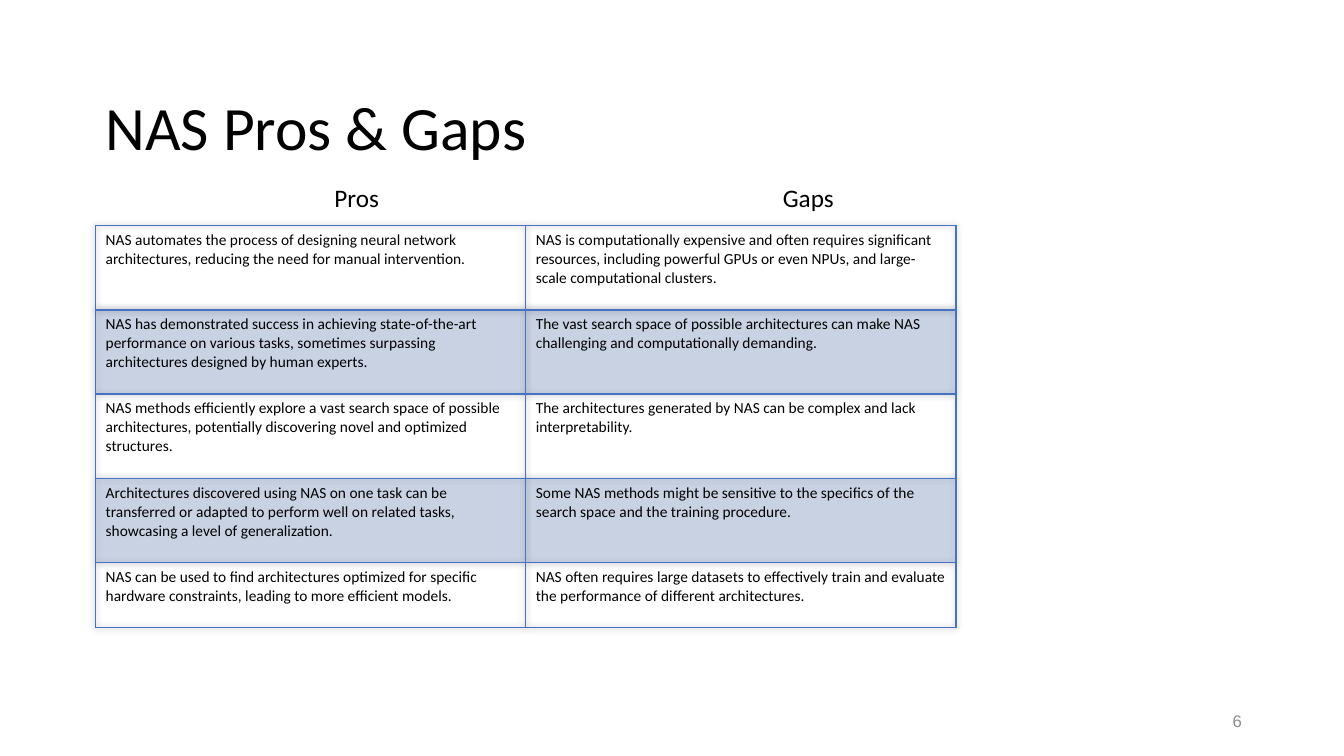
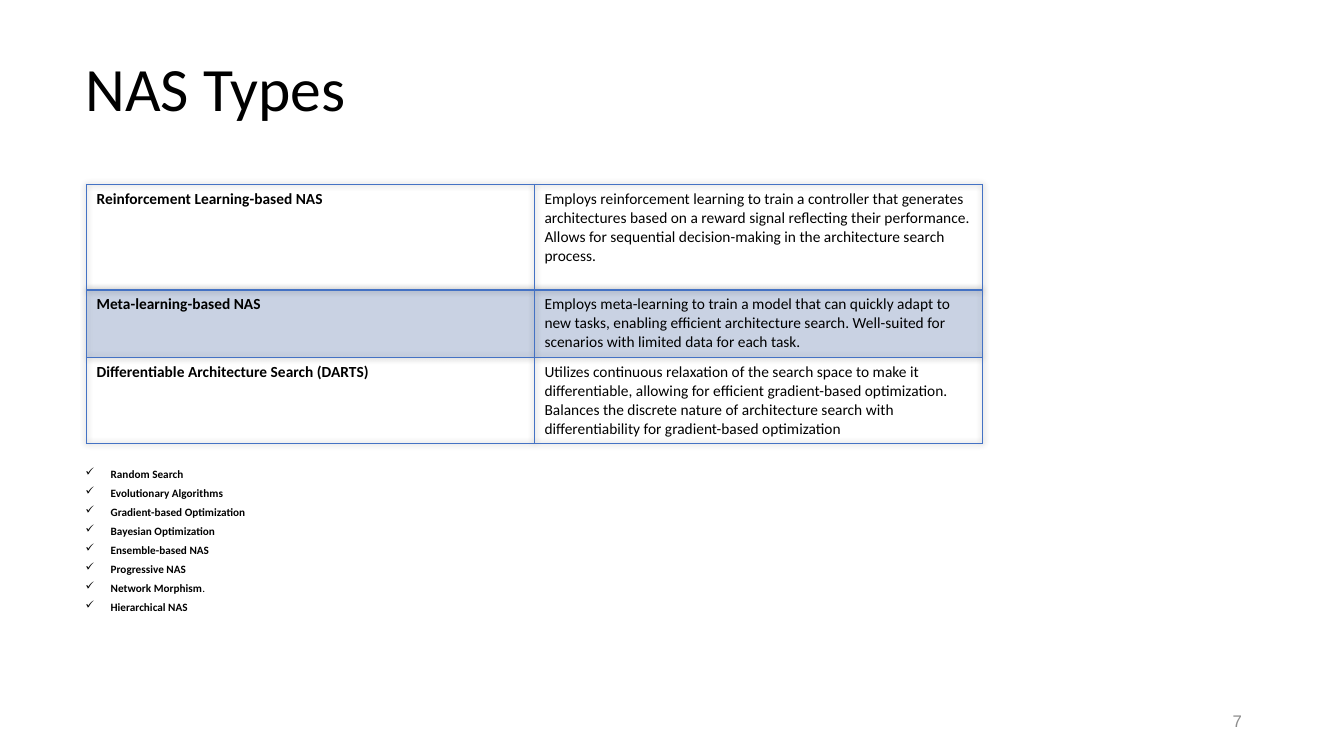
from lxml import etree
from pptx import Presentation
from pptx.dml.color import RGBColor
from pptx.enum.text import MSO_ANCHOR, PP_ALIGN
from pptx.oxml import parse_xml
from pptx.oxml.ns import qn
from pptx.util import Cm, Pt

BLACK = RGBColor(0x00, 0x00, 0x00)
GRAY = RGBColor(0x8C, 0x8C, 0x8C)
BLUE = RGBColor(0x44, 0x72, 0xC4)
NS = "http://schemas.openxmlformats.org/drawingml/2006/main"
SHADOW = (f'<a:effectLst xmlns:a="{NS}"><a:outerShdw blurRad="63500" algn="ctr" rotWithShape="0">'
          '<a:prstClr val="black"><a:alpha val="40000"/></a:prstClr></a:outerShdw></a:effectLst>')


def add_text(s, text, left, top, width, height, size, color=BLACK, font="Calibri",
             anchor=MSO_ANCHOR.TOP, align=PP_ALIGN.LEFT, bold=False, spacing=None):
    sp = s.shapes.add_textbox(Cm(left), Cm(top), Cm(width), Cm(height))
    tf = sp.text_frame
    tf.word_wrap = True
    tf.vertical_anchor = anchor
    tf.text = text
    for p in tf.paragraphs:
        p.alignment = align
        p.line_spacing = spacing
        for r in p.runs:
            r.font.name = font
            r.font.size = Pt(size)
            r.font.bold = bold
            r.font.color.rgb = color
    return tf


def add_grid(s, rows, left, top, col_width, heights, bold_first=False):
    frame = s.shapes.add_table(len(rows), 2, Cm(left), Cm(top), Cm(2 * col_width), Cm(sum(heights)))
    table = frame.table
    table.first_row = table.horz_banding = False
    table._tbl.tblPr.insert(0, parse_xml(SHADOW))
    for col in table.columns:
        col.width = Cm(col_width)
    for i, (texts, height) in enumerate(zip(rows, heights)):
        table.rows[i].height = Cm(height)
        for j, text in enumerate(texts):
            cell = table.cell(i, j)
            cell.text = text
            font = cell.text_frame.paragraphs[0].runs[0].font
            font.name = "Calibri"
            font.size = Pt(11)
            font.bold = bold_first and j == 0
            font.color.rgb = BLACK
            tcPr = cell._tc.get_or_add_tcPr()
            if i % 2:
                cell.fill.solid()
                cell.fill.fore_color.rgb = BLUE
                color = tcPr.find(f".//{qn('a:srgbClr')}")
                etree.SubElement(color, qn("a:alpha"), val="20000")
            else:
                cell.fill.background()
            for k, side in enumerate("LRTB"):
                thick = (side == "B" and i == 0) or (side == "T" and i == 1)
                tcPr.insert(k, parse_xml(
                    f'<a:ln{side} xmlns:a="{NS}" w="{Pt(2 if thick else 1)}"><a:solidFill>'
                    f'<a:srgbClr val="{BLUE}"/></a:solidFill></a:ln{side}>'))


prs = Presentation()
prs.slide_width = Cm(33.87)
prs.slide_height = Cm(19.05)

slides = []
for number, title, left, top in [(6, "NAS Pros & Gaps", 2.41, 2.11), (7, "NAS Types", 1.91, 1.14)]:
    s = prs.slides.add_slide(prs.slide_layouts[6])
    add_text(s, title, left, top, 29.21, 2.36, 44, anchor=MSO_ANCHOR.MIDDLE, spacing=0.9)
    add_text(s, str(number), 23.93, 17.65, 7.62, 1.02, 12, GRAY, "Arial",
             MSO_ANCHOR.MIDDLE, PP_ALIGN.RIGHT)
    slides.append(s)
pros_slide, types_slide = slides

for heading, left in [("Pros", 8.18), ("Gaps", 19.48)]:
    add_text(pros_slide, heading, left, 4.47, 7, 1.02, 18)

pros_gaps = [
    ("NAS automates the process of designing neural network architectures, reducing the need for manual intervention.",
     "NAS is computationally expensive and often requires significant resources, including powerful GPUs or even NPUs, and large-scale computational clusters."),
    ("NAS has demonstrated success in achieving state-of-the-art performance on various tasks, sometimes surpassing architectures designed by human experts.",
     "The vast search space of possible architectures can make NAS challenging and computationally demanding."),
    ("NAS methods efficiently explore a vast search space of possible architectures, potentially discovering novel and optimized structures.",
     "The architectures generated by NAS can be complex and lack interpretability."),
    ("Architectures discovered using NAS on one task can be transferred or adapted to perform well on related tasks, showcasing a level of generalization.",
     "Some NAS methods might be sensitive to the specifics of the search space and the training procedure."),
    ("NAS can be used to find architectures optimized for specific hardware constraints, leading to more efficient models.",
     "NAS often requires large datasets to effectively train and evaluate the performance of different architectures."),
]
add_grid(pros_slide, pros_gaps, 2.41, 5.69, 10.84, [2.12] * 4 + [1.64])

nas_types = [
    ("Reinforcement Learning-based NAS",
     "Employs reinforcement learning to train a controller that generates architectures based on a reward signal reflecting their performance. Allows for sequential decision-making in the architecture search process."),
    ("Meta-learning-based NAS",
     "Employs meta-learning to train a model that can quickly adapt to new tasks, enabling efficient architecture search. Well-suited for scenarios with limited data for each task."),
    ("Differentiable Architecture Search (DARTS)",
     "Utilizes continuous relaxation of the search space to make it differentiable, allowing for efficient gradient-based optimization. Balances the discrete nature of architecture search with differentiability for gradient-based optimization"),
]
add_grid(types_slide, nas_types, 2.18, 4.65, 11.29, [2.66, 1.7, 2.17], bold_first=True)

methods = ["Random Search", "Evolutionary Algorithms", "Gradient-based Optimization",
           "Bayesian Optimization", "Ensemble-based NAS", "Progressive NAS",
           "Network Morphism", "Hierarchical NAS"]
tf = add_text(types_slide, "\n".join(methods), 0.64, 11.68, 6.15, 3.81, 8, bold=True, spacing=0.9)
for p in tf.paragraphs:
    p.space_before = Pt(5)
    pPr = p._p.get_or_add_pPr()
    pPr.set("marL", str(Cm(1.9)))
    pPr.set("indent", str(-Cm(0.64)))
    etree.SubElement(pPr, qn("a:buChar"), char="✓")
    if p.text == "Network Morphism":
        r = p.add_run()
        r.text = "."
        r.font.name = "Calibri"
        r.font.size = Pt(8)
        r.font.color.rgb = BLACK

prs.save("out.pptx")
